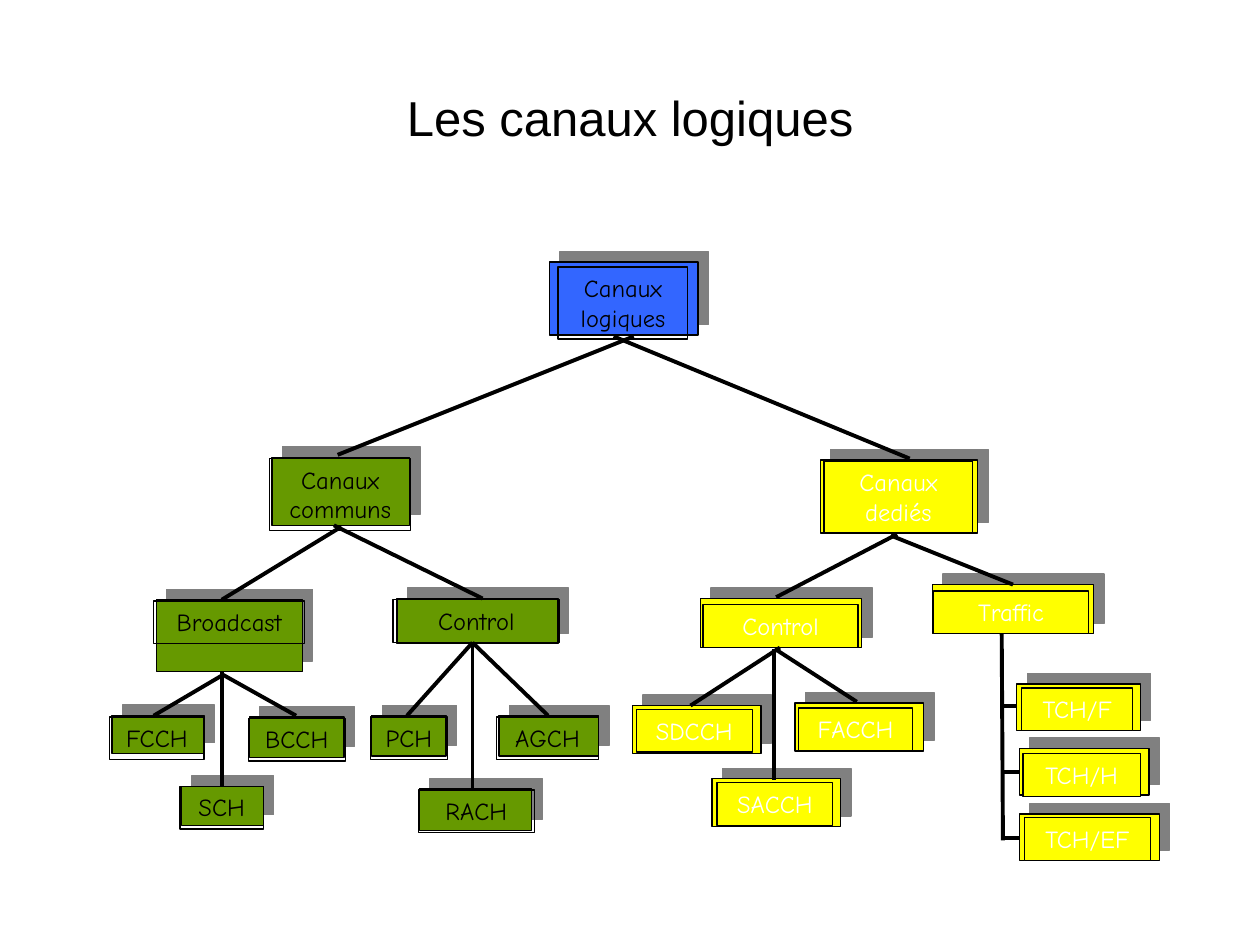
from typing import NamedTuple

from lxml import etree
from pptx import Presentation
from pptx.dml.color import RGBColor
from pptx.enum.shapes import MSO_CONNECTOR, MSO_SHAPE
from pptx.enum.text import MSO_ANCHOR, MSO_AUTO_SIZE, PP_ALIGN
from pptx.oxml.ns import qn
from pptx.util import Pt

PX = 9144  # 100 px to the inch
RECTANGLE = MSO_SHAPE.RECTANGLE
STRAIGHT = MSO_CONNECTOR.STRAIGHT
CENTER = PP_ALIGN.CENTER
TOP, MIDDLE = MSO_ANCHOR.TOP, MSO_ANCHOR.MIDDLE
GROW = MSO_AUTO_SIZE.SHAPE_TO_FIT_TEXT
FIXED = MSO_AUTO_SIZE.NONE

BLACK, WHITE, GREY = "000000", "FFFFFF", "808080"


class Box(NamedTuple):
    left: int
    top: int
    width: int
    height: int


class Family(NamedTuple):
    panel_fill: str
    label_fill: str | None
    text_color: str


class Channel(NamedTuple):
    name: str
    family: Family
    panel: Box
    label: Box


class Link(NamedTuple):
    x1: int
    y1: int
    x2: int
    y2: int


ROOT = Family("3366FF", None, BLACK)
COMMON = Family("669900", None, BLACK)
DEDICATED = Family("FFFF00", "FFFF00", WHITE)

CHANNELS = [
    Channel("Canaux logiques", ROOT, Box(436, 208, 118, 58), Box(443, 212, 103, 57)),
    Channel("Canaux communs", COMMON, Box(216, 363, 109, 54), Box(214, 364, 112, 57)),
    Channel("Broadcast", COMMON, Box(124, 476, 116, 57), Box(122, 477, 120, 34)),
    Channel("Control", COMMON, Box(315, 475, 128, 36), Box(312, 476, 132, 34)),
    Channel("FCCH", COMMON, Box(89, 568, 73, 30), Box(87, 569, 75, 34)),
    Channel("SCH", COMMON, Box(144, 624, 65, 31), Box(143, 624, 66, 34)),
    Channel("BCCH", COMMON, Box(198, 569, 75, 32), Box(197, 570, 77, 34)),
    Channel("PCH", COMMON, Box(295, 568, 59, 32), Box(294, 569, 61, 34)),
    Channel("RACH", COMMON, Box(333, 626, 89, 33), Box(332, 627, 92, 34)),
    Channel("AGCH", COMMON, Box(396, 568, 79, 32), Box(394, 569, 81, 34)),
    Channel("Canaux dediés", DEDICATED, Box(651, 365, 125, 58), Box(654, 366, 118, 57)),
    Channel("Control", DEDICATED, Box(556, 475, 128, 39), Box(558, 480, 123, 34)),
    Channel("SDCCH", DEDICATED, Box(502, 560, 102, 38), Box(505, 563, 92, 34)),
    Channel("SACCH", DEDICATED, Box(565, 618, 102, 38), Box(569, 621, 92, 34)),
    Channel("FACCH", DEDICATED, Box(631, 558, 102, 38), Box(634, 562, 90, 34)),
    Channel("Traffic", DEDICATED, Box(740, 464, 128, 39), Box(741, 469, 123, 34)),
    Channel("TCH/F", DEDICATED, Box(807, 543, 98, 37), Box(811, 546, 88, 34)),
    Channel("TCH/H", DEDICATED, Box(809, 594, 103, 37), Box(812, 598, 93, 34)),
    Channel("TCH/EF", DEDICATED, Box(809, 646, 111, 37), Box(813, 649, 100, 34)),
]

LINKS = [
    # Broadcast
    Link(176, 533, 176, 624), Link(178, 535, 122, 568), Link(176, 535, 235, 568),
    # Canaux communs
    Link(271, 418, 176, 476), Link(265, 417, 383, 475),
    # Control (communs)
    Link(375, 510, 323, 568), Link(375, 510, 435, 568), Link(375, 511, 375, 626),
    # Canaux dediés
    Link(712, 424, 616, 474), Link(707, 425, 804, 464),
    # Control (dediés)
    Link(619, 514, 548, 560), Link(615, 515, 680, 557), Link(614, 515, 614, 619),
    # Traffic
    Link(795, 503, 796, 667), Link(795, 560, 807, 560),
    Link(797, 613, 809, 613), Link(797, 665, 809, 665),
    # Canaux logiques
    Link(503, 267, 268, 361), Link(487, 267, 722, 364),
]


def rgb(color: str) -> RGBColor:
    return RGBColor.from_string(color)


def emu(lengths: tuple[int, ...]) -> list[int]:
    return [length * PX for length in lengths]


def write(shape, text: str, *, font: str, size: int, color: str,
          anchor=TOP, auto_size=FIXED) -> None:
    frame = shape.text_frame
    frame.word_wrap = True
    frame.auto_size = auto_size
    frame.vertical_anchor = anchor
    paragraph = frame.paragraphs[0]
    paragraph.alignment = CENTER
    run = paragraph.add_run()
    run.text = text
    run.font.name = font
    run.font.size = Pt(size)
    run.font.color.rgb = rgb(color)


def add_rectangle(slide, box: Box, fill: str | None):
    rectangle = slide.shapes.add_shape(RECTANGLE, *emu(box))
    rectangle.shadow.inherit = False
    if fill:
        rectangle.fill.solid()
        rectangle.fill.fore_color.rgb = rgb(fill)
    else:
        rectangle.fill.background()
    rectangle.line.color.rgb = rgb(BLACK)
    rectangle.line.width = Pt(0.75)
    return rectangle


def cast_shadow(shape) -> None:
    """Give the shape a hard grey shadow towards the upper right."""
    effects = shape._element.spPr.find(qn("a:effectLst"))
    shadow = etree.SubElement(
        effects, qn("a:outerShdw"), blurRad="0", dist=str(Pt(8.5)),
        dir=str(315 * 60000), algn="ctr", rotWithShape="0")
    etree.SubElement(shadow, qn("a:srgbClr"), val=GREY)


def add_channel(slide, channel: Channel) -> None:
    cast_shadow(add_rectangle(slide, channel.panel, channel.family.panel_fill))
    label = add_rectangle(slide, channel.label, channel.family.label_fill)
    write(label, channel.name, font="Comic Neue", size=14,
          color=channel.family.text_color, auto_size=GROW)


def add_link(slide, link: Link) -> None:
    connector = slide.shapes.add_connector(STRAIGHT, *emu(link))
    connector.line.color.rgb = rgb(BLACK)
    connector.line.width = Pt(2.25)
    etree.SubElement(connector._element.spPr, qn("a:effectLst"))


def main() -> None:
    presentation = Presentation()
    presentation.slide_width, presentation.slide_height = emu((1000, 750))
    slide = presentation.slides.add_slide(presentation.slide_layouts[6])

    title = slide.shapes.add_textbox(*emu(Box(50, 30, 900, 125)))
    write(title, "Les canaux logiques", font="Arial", size=28, color=BLACK,
          anchor=MIDDLE)
    for channel in CHANNELS:
        add_channel(slide, channel)
    for link in LINKS:
        add_link(slide, link)

    presentation.save("out.pptx")


if __name__ == "__main__":
    main()
